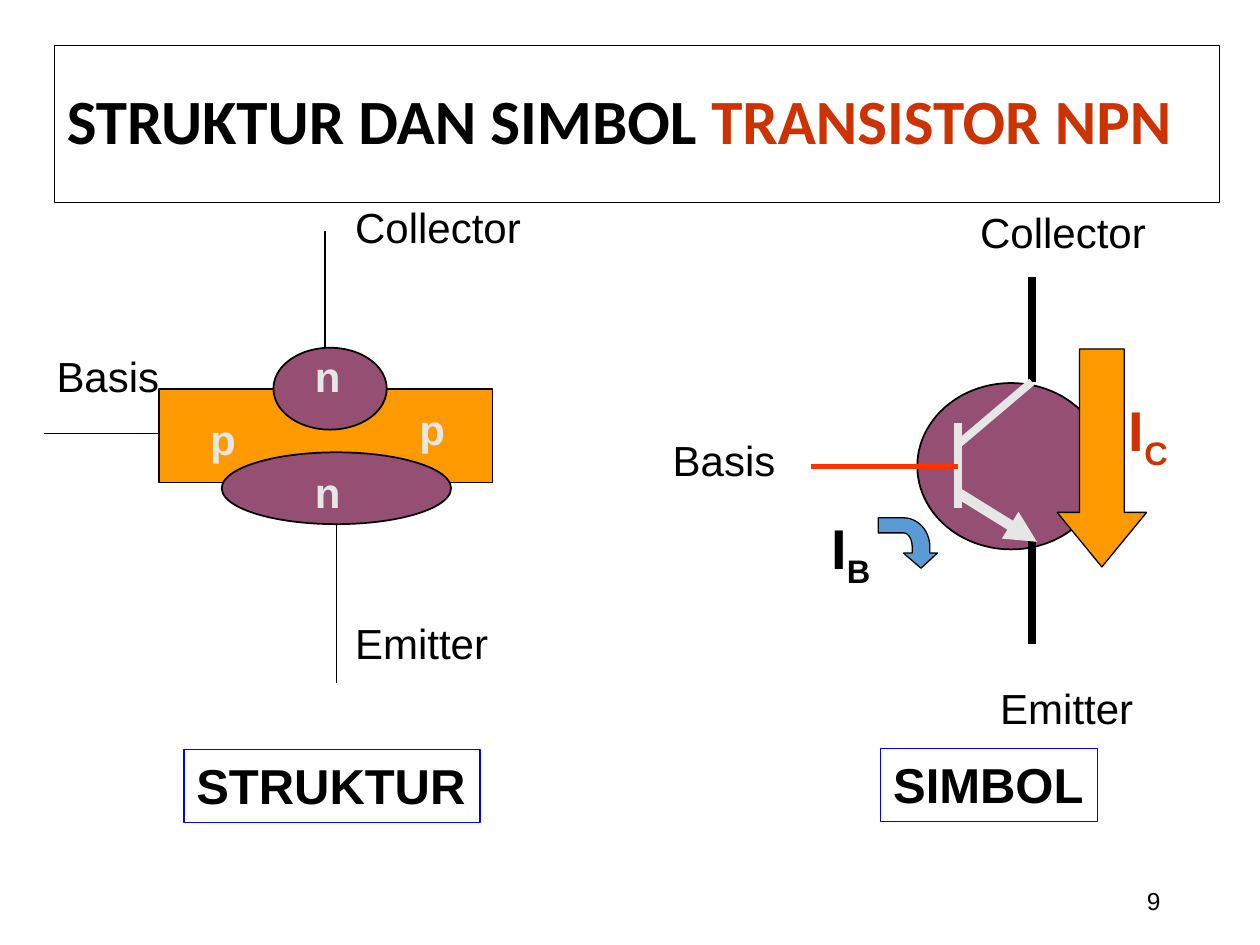
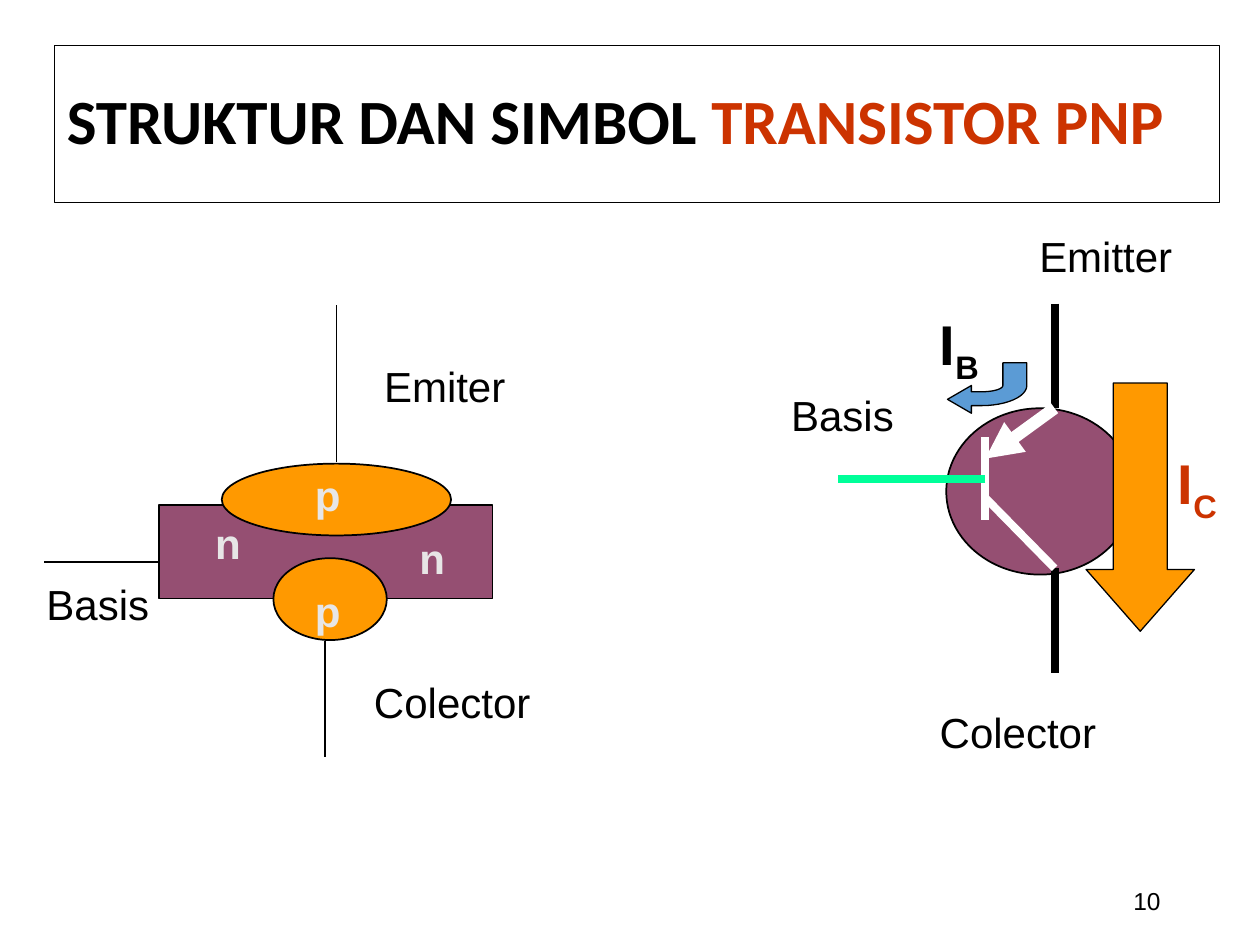
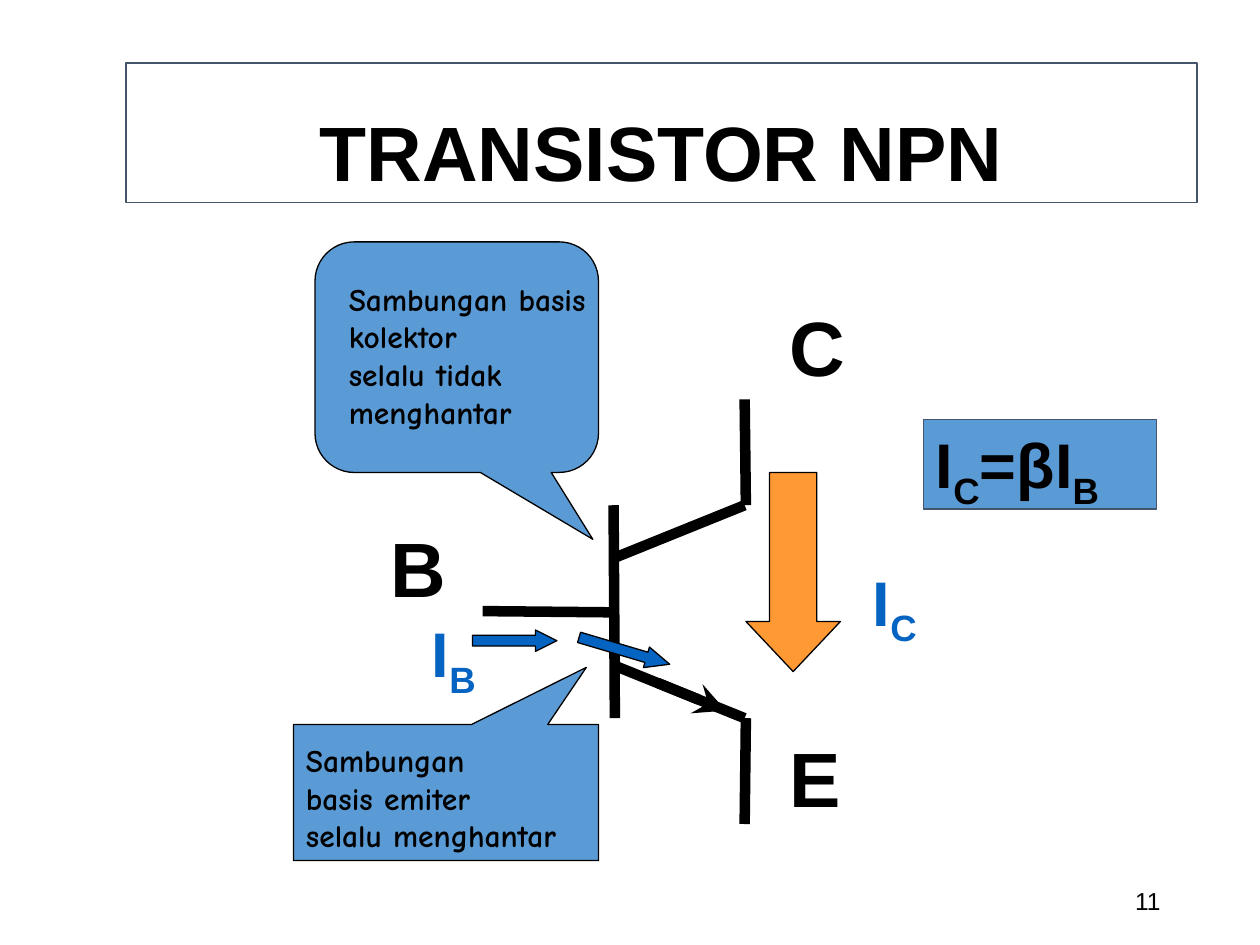
import math

from lxml import etree
from pptx import Presentation
from pptx.dml.color import RGBColor
from pptx.enum import shapes, text
from pptx.oxml.ns import qn
from pptx.util import Inches, Pt

COLORS = {
    "black": "000000",
    "white": "FFFFFF",
    "light": "E7E6E6",
    "slate": "44546A",
    "purple": "954F72",
    "orange": "FF9900",
    "amber": "FF9933",
    "blue": "5B9BD5",
    "link": "0563C1",
    "frame": "0000FF",
    "rust": "CC3300",
    "red": "FF3300",
    "green": "00FF99",
}
SHAPE = shapes.MSO_SHAPE
ALIGN = text.PP_ALIGN
ANCHOR = text.MSO_ANCHOR
SIDES = ("left", "top", "width", "height")


def rgb(name):
    return RGBColor.from_string(COLORS[name])


# Text
def add_run(paragraph, content, size=24, font="Arial", color="black", bold=False, subscript=False):
    run = paragraph.add_run()
    run.text = content
    run.font.size = Pt(size)
    run.font.name = font
    run.font.bold = bold
    run.font.color.rgb = rgb(color)
    if subscript:
        run.font._element.set("baseline", "-25000")


def write(shape, paragraphs, align=ALIGN.LEFT, anchor=ANCHOR.TOP, wrap=False, grow=True,
          spacing=None, **style):
    """Fill a shape; a paragraph is a string or a list of (text, style) runs."""
    frame = shape.text_frame
    frame.word_wrap = wrap
    frame.vertical_anchor = anchor
    frame.auto_size = text.MSO_AUTO_SIZE.SHAPE_TO_FIT_TEXT if grow else text.MSO_AUTO_SIZE.NONE
    for index, runs in enumerate(paragraphs):
        paragraph = frame.add_paragraph() if index else frame.paragraphs[0]
        paragraph.alignment = align
        if spacing:
            paragraph.line_spacing = spacing
        for content, extra in [(runs, {})] if isinstance(runs, str) else runs:
            add_run(paragraph, content, **{**style, **extra})


def add_text(slide, box, *paragraphs, **style):
    write(slide.shapes.add_textbox(*map(Inches, box)), paragraphs, **style)


def current(letter):
    return [("I", {}), (letter, {"subscript": True})]


def add_labels(slide, labels, **style):
    for content, box in labels:
        add_text(slide, box, content, **style)


# Shapes and lines
def paint(shape, fill=None, line="black", weight=0.75):
    if fill:
        shape.fill.solid()
        shape.fill.fore_color.rgb = rgb(fill)
    else:
        shape.fill.background()
    shape.line.color.rgb = rgb(line)
    shape.line.width = Pt(weight)


def add_shape(slide, kind, box, adjust=(), rotation=0, **look):
    shape = slide.shapes.add_shape(kind, *map(Inches, box))
    shape.shadow.inherit = False
    shape.rotation = rotation
    for index, value in enumerate(adjust):
        shape.adjustments[index] = value
    paint(shape, **look)
    return shape


def add_line(slide, start, end, weight=1, color="black", arrow=None):
    line = slide.shapes.add_connector(shapes.MSO_CONNECTOR.STRAIGHT, *map(Inches, (*start, *end)))
    line.line.color.rgb = rgb(color)
    line.line.width = Pt(weight)
    if arrow:
        etree.SubElement(line.line._get_or_add_ln(), qn("a:tailEnd"), type=arrow)
    etree.SubElement(line._element.spPr, qn("a:effectLst"))


def elbow(start, corner, end, steps=12):
    """Points of a quarter ellipse that rounds off a corner."""
    angles = [math.pi / 2 * step / steps for step in range(steps + 1)]
    return [tuple(s + e - c + (c - e) * math.cos(a) + (c - s) * math.sin(a)
                  for s, c, e in zip(start, corner, end)) for a in angles]


def add_bent_arrow(slide, outline):
    """Draw an outline of points; an entry of three points is an elbow."""
    points = []
    for entry in outline:
        points += elbow(*entry) if len(entry) == 3 else [entry]
    points = [(Inches(x), Inches(y)) for x, y in points]
    builder = slide.shapes.build_freeform(*points[0])
    builder.add_line_segments(points[1:], close=True)
    shape = builder.convert_to_shape()
    shape.shadow.inherit = False
    paint(shape, fill="blue")


# Parts shared by the slides
def new_slide(presentation, number, title_runs, box, line, **style):
    slide = presentation.slides.add_slide(presentation.slide_layouts[5])
    title = slide.shapes.title
    for side, value in zip(SIDES, box):
        setattr(title, side, Inches(value))
    paint(title, line=line)
    write(title, [title_runs], wrap=True, grow=False, bold=True, **style)
    add_text(slide, (7.06, 6.95, 2.25, 0.4), str(number), size=14, align=ALIGN.RIGHT,
             anchor=ANCHOR.MIDDLE, wrap=True, grow=False)
    return slide


def new_comparison(presentation, number, kind):
    runs = [("STRUKTUR DAN SIMBOL ", {}), (f"TRANSISTOR {kind}", {"color": "rust"})]
    return new_slide(presentation, number, runs, (0.43, 0.36, 9.25, 1.25), "black",
                     size=36, font="Calibri", anchor=ANCHOR.MIDDLE, spacing=0.9)


def draw_structure(slide, bar, regions, base_y, letters, mirror=None):
    """Layer diagram; mirror is the sum of a height and its reflection."""
    def place(y, height=0):
        return y if mirror is None else mirror - y - height

    for kind, (left, top, width, height), fill in (
            (SHAPE.RECTANGLE, (1.26, 3.09, 2.65, 0.74), bar),
            (SHAPE.OVAL, (2.17, 2.76, 0.9, 0.65), regions),
            (SHAPE.OVAL, (1.76, 3.59, 1.82, 0.57), regions)):
        add_shape(slide, kind, (left, place(top, height), width, height), fill=fill, weight=1)
    add_labels(slide, [(letter, (x, y, 0.4, 0.5)) for letter, x, y in letters],
               color="light", bold=True)
    add_line(slide, (0.35, base_y), (1.27, base_y))
    add_line(slide, (2.58, place(2.75)), (2.58, place(1.83)))
    add_line(slide, (2.67, place(4.17)), (2.67, place(5.42)))


def draw_symbol(slide, body, lines):
    add_shape(slide, SHAPE.OVAL, body, fill="purple", weight=1)
    for start, end, weight, color, arrow in lines:
        add_line(slide, start, end, weight, color, arrow)


def draw_currents(slide, base_at, collector_at, arrow_box, head):
    add_shape(slide, SHAPE.DOWN_ARROW, arrow_box, (0.5, head), fill="orange")
    for letter, at, color in (("B", base_at, "black"), ("C", collector_at, "rust")):
        add_text(slide, (*at, 0.53, 0.63), current(letter), size=32, bold=True, color=color)


# Slides
def npn_comparison(presentation):
    slide = new_comparison(presentation, 9, "NPN")
    draw_structure(slide, "orange", "purple", 3.44, [
        ("p", 1.57, 3.23), ("p", 3.23, 3.15), ("n", 2.4, 3.65), ("n", 2.4, 2.73)])
    draw_symbol(slide, (7.28, 3.04, 1.49, 1.32), [
        ((8.19, 5.11), (8.19, 4.28), 4.5, "black", None),
        ((7.6, 4.03), (7.6, 3.36), 4.5, "light", None),
        ((7.6, 3.7), (6.44, 3.7), 3, "red", None),
        ((8.19, 3.03), (8.19, 2.2), 4.5, "black", None),
        ((7.6, 3.53), (8.19, 3.03), 4.5, "light", None),
        ((7.6, 3.91), (8.23, 4.3), 6, "light", "triangle")])
    add_labels(slide, [
        ("Emitter", (2.72, 4.85, 1.26, 0.5)),
        ("Basis", (0.35, 2.73, 1.02, 0.5)),
        ("Collector", (2.72, 1.55, 1.52, 0.5)),
        ("Emitter", (7.84, 5.37, 1.26, 0.5)),
        ("Basis", (5.24, 3.4, 1.02, 0.5)),
        ("Collector", (7.68, 1.59, 1.52, 0.5))])
    add_bent_arrow(slide, [
        (7.31, 4.51), (7.44, 4.39), (7.38, 4.39),
        ((7.38, 4.34), (7.38, 4.11), (7.17, 4.11)),
        (6.97, 4.11), (6.97, 4.23),
        ((7.17, 4.23), (7.24, 4.23), (7.24, 4.34)),
        (7.24, 4.39), (7.17, 4.39)])
    draw_currents(slide, (6.5, 4.03), (8.86, 3.09), (8.39, 2.77, 0.71, 1.73), 0.61)
    for caption, box in (("STRUKTUR", (1.46, 5.95, 2.35, 0.58)),
                         ("SIMBOL", (6.99, 5.94, 1.72, 0.58))):
        frame = add_shape(slide, SHAPE.RECTANGLE, box, line="frame")
        write(frame, [caption], size=28, bold=True)


def pnp_comparison(presentation):
    slide = new_comparison(presentation, 10, "PNP")
    draw_structure(slide, "purple", "orange", 4.46, [
        ("n", 1.61, 4.06), ("n", 3.23, 4.18), ("p", 2.4, 3.68), ("p", 2.4, 4.6)], mirror=7.84)
    draw_symbol(slide, (7.51, 3.24, 1.49, 1.32), [
        ((8.37, 2.41), (8.37, 3.24), 4.5, "black", None),
        ((7.82, 3.47), (7.82, 4.13), 4.5, "white", None),
        ((7.82, 3.8), (6.65, 3.8), 4.5, "green", None),
        ((8.37, 4.51), (8.37, 5.34), 4.5, "black", None),
        ((7.82, 3.95), (8.37, 4.51), 4.5, "white", None),
        ((8.37, 3.24), (7.82, 3.64), 7, "white", "triangle")])
    add_labels(slide, [
        ("Emiter", (2.95, 2.81, 1.16, 0.5)),
        ("Basis", (0.27, 4.54, 1.02, 0.5)),
        ("Colector", (2.87, 5.32, 1.44, 0.5)),
        ("Emitter", (8.15, 1.78, 1.26, 0.5)),
        ("Basis", (6.18, 3.04, 1.02, 0.5)),
        ("Colector", (7.36, 5.56, 1.44, 0.5))])
    add_bent_arrow(slide, [
        (7.52, 3.17), (7.71, 3.28), (7.71, 3.22),
        ((7.79, 3.22), (8.15, 3.22), (8.15, 3.06)),
        (8.15, 2.88), (7.96, 2.88),
        ((7.96, 3.06), (7.96, 3.11), (7.79, 3.11)),
        (7.71, 3.11), (7.71, 3.06)])
    draw_currents(slide, (7.36, 2.41), (9.25, 3.51), (8.62, 3.04, 0.86, 1.97), 0.57)


def npn_operation(presentation):
    slide = new_slide(presentation, 11, "TRANSISTOR NPN", (1, 0.5, 8.5, 1.11), "slate",
                      size=44, align=ALIGN.CENTER, anchor=ANCHOR.BOTTOM, spacing=1.0)

    # Transistor symbol
    for start, end in (
            ((5.91, 6.54), (5.92, 5.7)), ((5.91, 4.01), (4.87, 4.43)),
            ((5.91, 5.7), (4.87, 5.28)), ((4.87, 4.01), (4.88, 5.7)),
            ((3.83, 4.85), (4.87, 4.86)), ((5.91, 3.17), (5.92, 4.01))):
        add_line(slide, start, end, 6)
    add_line(slide, (5.22, 5.42), (5.76, 5.64), 6, arrow="stealth")
    add_labels(slide, [("B", (3, 4.08, 0.92, 0.83)), ("C", (6.17, 2.33, 1, 0.83)),
                       ("E", (6.17, 5.75, 0.61, 0.83))], size=44, bold=True, wrap=True)

    # Callouts on the two junctions
    note = {"size": 18, "font": "Comic Neue", "bold": True, "wrap": True}
    add_shape(slide, SHAPE.RECTANGULAR_CALLOUT, (2.33, 5.75, 2.42, 1.08), (-0.46, 0.92),
              rotation=180, fill="blue")
    add_text(slide, (2.33, 5.83, 2.42, 1), "Sambungan", "basis emiter", "selalu menghantar",
             **note)
    add_shape(slide, SHAPE.ROUNDED_RECTANGULAR_CALLOUT, (2.5, 1.92, 2.25, 1.83),
              (0.48, 0.79, 0.17), fill="blue")
    add_text(slide, (2.67, 2.17, 2.08, 1.3), "Sambungan basis kolektor",
             "selalu tidak menghantar", **note)

    # Gain formula and currents
    formula = add_shape(slide, SHAPE.RECTANGLE, (7.33, 3.33, 1.85, 0.71), fill="blue",
                        line="slate")
    write(formula, [current("C") + [("=β", {})] + current("B")], size=36, bold=True, wrap=True)
    add_shape(slide, SHAPE.DOWN_ARROW, (5.92, 3.75, 0.75, 1.58), (0.5, 0.53), fill="amber")
    for letter, box in (("B", (3.33, 4.83, 0.68, 0.7)), ("C", (6.83, 4.42, 0.67, 0.7))):
        add_text(slide, box, current(letter), size=36, bold=True, color="link", wrap=True)
    add_shape(slide, SHAPE.RIGHT_ARROW, (3.75, 5, 0.67, 0.17), (0.5, 1), fill="link")
    add_shape(slide, SHAPE.RIGHT_ARROW, (4.58, 5.08, 0.75, 0.17), (0.5, 1.13),
              rotation=16.5, fill="link")


def main():
    presentation = Presentation()
    presentation.slide_width = Inches(10)
    presentation.slide_height = Inches(7.5)
    npn_comparison(presentation)
    pnp_comparison(presentation)
    npn_operation(presentation)
    presentation.save("out.pptx")


if __name__ == "__main__":
    main()
